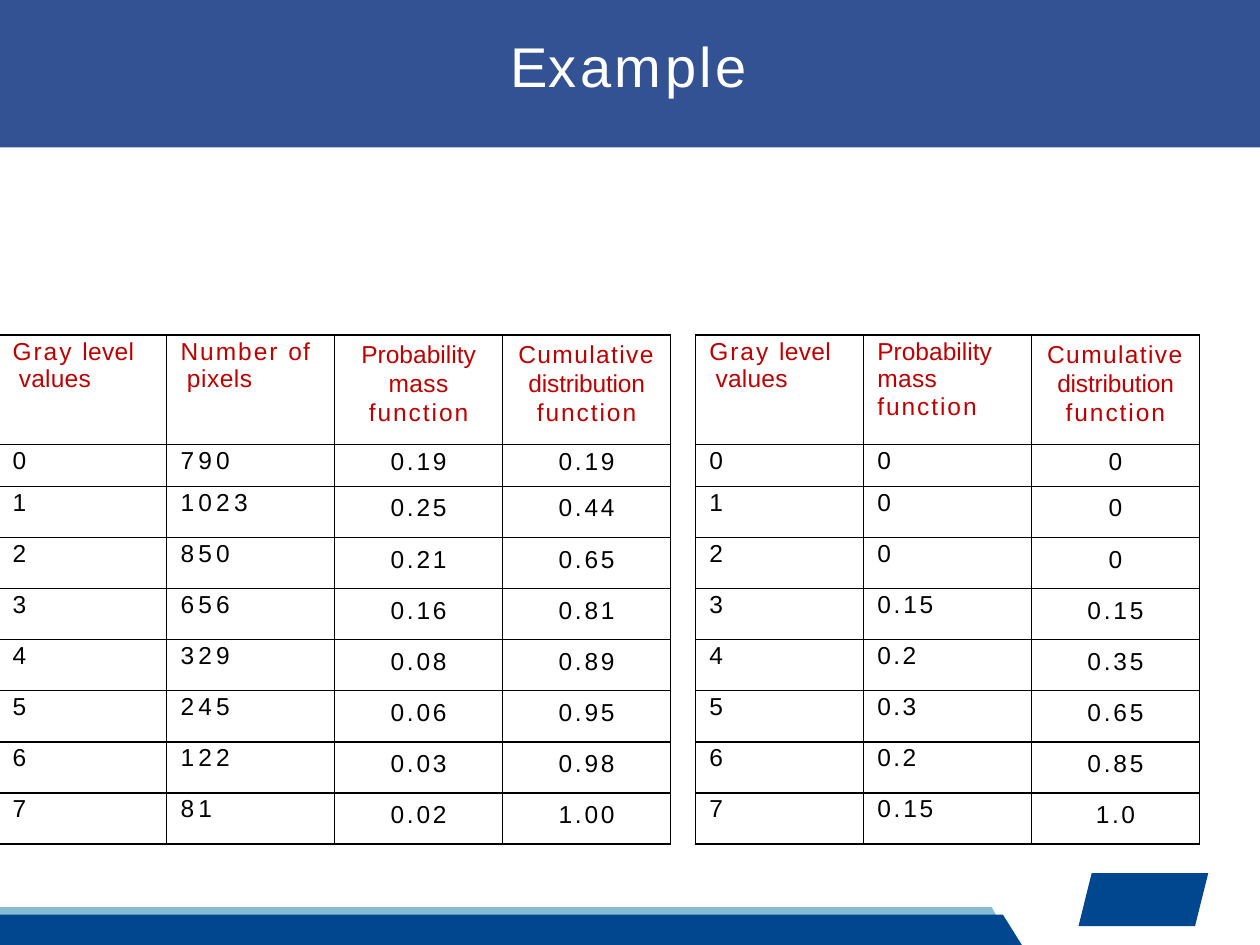
from dataclasses import dataclass

import lxml.etree
import pptx
import pptx.dml.color
import pptx.enum.shapes
import pptx.enum.text
import pptx.oxml.ns
import pptx.util

Inches = pptx.util.Inches
Pt = pptx.util.Pt
RGB = pptx.dml.color.RGBColor
ALIGN = pptx.enum.text.PP_ALIGN


@dataclass(frozen=True)
class Theme:
    """Colours, font and type sizes of the slide."""
    font: str = "Arial"
    title_size: int = 32
    table_size: int = 14
    banner: str = "335294"
    stripe: str = "86BCD5"
    navy: str = "004790"
    white: str = "FFFFFF"
    heading: str = "C00000"
    text: str = "000000"


@dataclass(frozen=True)
class Run:
    """A piece of text with its letter spacing in points."""
    text: str
    spacing: float = 0


@dataclass(frozen=True)
class Column:
    """A table column: heading runs, values and alignment."""
    heading: tuple[Run, ...]
    values: tuple[str, ...]
    centred: bool = False
    centred_heading: bool = False
    hang: float = 0


THEME = Theme()
COL_WIDTH = 4 / 3
ROW_HEIGHTS = [0.87, 0.33] + [2.84 / 7] * 7

GRAY = (Run("Gray ", 1.1), Run("level ", 0.2), Run("values", 0.1))
PIXELS = (Run("Number ", 1.1), Run("of ", 0.7), Run("pixels", 0.3))
PMF = (Run("Probability "), Run("mass ", 0.2), Run("function", 1.1))
CDF = (Run("Cumulative ", 0.8), Run("distribution ", -0.1), Run("function", 1.1))

LEVELS = Column(GRAY, tuple("01234567"), hang=0.05)
SOURCE = [
    LEVELS,
    Column(PIXELS, ("790", "1023", "850", "656", "329", "245", "122", "81"), hang=0.05),
    Column(PMF, ("0.19", "0.25", "0.21", "0.16", "0.08", "0.06", "0.03", "0.02"), True, True),
    Column(CDF, ("0.19", "0.44", "0.65", "0.81", "0.89", "0.95", "0.98", "1.00"), True, True),
]
TARGET = [
    LEVELS,
    Column(PMF, ("0", "0", "0", "0.15", "0.2", "0.3", "0.2", "0.15")),
    Column(CDF, ("0", "0", "0", "0.15", "0.35", "0.65", "0.85", "1.0"), True, True),
]


def add_runs(p, runs: tuple[Run, ...], size: int, color: str) -> None:
    """Append formatted runs to a paragraph."""
    for run in runs:
        r = p.add_run()
        r.text = run.text
        r.font.name = THEME.font
        r.font.size = Pt(size)
        r.font.color.rgb = RGB.from_string(color)
        r.font._element.set("spc", str(round(run.spacing * 100)))


def paint(sp, color: str) -> None:
    """Give a shape a flat fill without line or shadow."""
    sp.shadow.inherit = False
    sp.fill.solid()
    sp.fill.fore_color.rgb = RGB.from_string(color)
    sp.line.fill.background()


def add_footer_band(slide, top: float, bottom: float, upper: float, lower: float, color: str) -> None:
    """Draw a band from the left edge with a slanted right end."""
    builder = slide.shapes.build_freeform(0, Inches(top))
    corners = [(upper, top), (lower, bottom), (0, bottom)]
    builder.add_line_segments([(Inches(x), Inches(y)) for x, y in corners], close=True)
    paint(builder.convert_to_shape(), color)


def add_title(slide, text: tuple[Run, ...]) -> None:
    """Place the title in its placeholder."""
    sp = slide.shapes.title
    sp.left, sp.top, sp.width, sp.height = map(Inches, (4.03, 0.24, 2, 0.56))
    tf = sp.text_frame
    tf.margin_left = tf.margin_right = tf.margin_bottom = 0
    tf.margin_top = Inches(0.01)
    tf.vertical_anchor = pptx.enum.text.MSO_ANCHOR.TOP
    p = tf.paragraphs[0]
    p.alignment = ALIGN.LEFT
    p.space_before = Pt(1.1)
    p._p.get_or_add_pPr().set("marL", str(Inches(0.02)))
    add_runs(p, text, THEME.title_size, THEME.white)


def set_borders(cell) -> None:
    """Draw one-point lines on all four sides of a cell."""
    tc_pr = cell._tc.get_or_add_tcPr()
    qn = pptx.oxml.ns.qn
    for i, side in enumerate(("lnL", "lnR", "lnT", "lnB")):
        ln = lxml.etree.Element(qn(f"a:{side}"), w=str(Pt(1)))
        fill = lxml.etree.SubElement(ln, qn("a:solidFill"))
        lxml.etree.SubElement(fill, qn("a:srgbClr"), val=THEME.text)
        tc_pr.insert(i, ln)


def number_spacing(value: str) -> float:
    """Return the letter spacing for a table value."""
    if len(value) == 1:
        return 0
    if "." not in value:
        return 2.4
    return 1.6 if len(value) == 4 else 1.4


def fill_cell(cell, column: Column, row: int) -> None:
    """Write and format the heading or value of one cell."""
    is_heading = row == 0
    centred = column.centred_heading if is_heading else column.centred
    before = 1.6 if not centred else 2.2 if row < 2 else 4.8
    side = 0.08 if centred and is_heading else 0
    cell.margin_left = cell.margin_right = Inches(side)
    cell.margin_top, cell.margin_bottom = Pt(before), 0
    cell.fill.background()
    set_borders(cell)
    p = cell.text_frame.paragraphs[0]
    p.alignment = ALIGN.CENTER if centred else ALIGN.LEFT
    p.space_before = Pt(before)
    if centred and is_heading:
        p.line_spacing = 1.07
    if not centred:
        hang = column.hang if is_heading else 0
        p_pr = p._p.get_or_add_pPr()
        p_pr.set("marL", str(Inches(0.11 + hang)))
        p_pr.set("indent", str(-Inches(hang)))
    if is_heading:
        add_runs(p, column.heading, THEME.table_size, THEME.heading)
    else:
        value = column.values[row - 1]
        add_runs(p, (Run(value, number_spacing(value)),), THEME.table_size, THEME.text)


def add_histogram_table(slide, left: float, columns: list[Column]) -> None:
    """Add a table of gray levels at the given left edge."""
    frame = slide.shapes.add_table(
        len(ROW_HEIGHTS), len(columns), Inches(left), Inches(2.66),
        Inches(COL_WIDTH * len(columns)), Inches(sum(ROW_HEIGHTS)))
    table = frame.table
    table.first_row = table.horz_banding = False
    for row, height in zip(table.rows, ROW_HEIGHTS):
        row.height = Inches(height)
    for i, column in enumerate(columns):
        table.columns[i].width = Inches(COL_WIDTH)
        for row in range(len(ROW_HEIGHTS)):
            fill_cell(table.cell(row, i), column, row)


def main() -> None:
    """Build and save the slide."""
    prs = pptx.Presentation()
    prs.slide_width, prs.slide_height = Inches(10), Inches(7.5)
    slide = prs.slides.add_slide(prs.slide_layouts[5])
    shapes = slide.shapes
    kinds = pptx.enum.shapes.MSO_SHAPE

    banner = shapes.add_shape(kinds.RECTANGLE, 0, 0, Inches(10), Inches(1.17))
    paint(banner, THEME.banner)
    shapes._spTree.insert(2, banner._element)
    add_footer_band(slide, 7.2, 7.46, 7.87, 8.02, THEME.stripe)
    add_footer_band(slide, 7.26, 7.5, 7.96, 8.11, THEME.navy)
    emblem = shapes.add_shape(
        kinds.PARALLELOGRAM, Inches(8.56), Inches(6.93), Inches(1.03), Inches(0.42))
    paint(emblem, THEME.navy)

    add_title(slide, (Run("E", 0.6), Run("xample", 2)))
    add_histogram_table(slide, -0.01, SOURCE)
    add_histogram_table(slide, 5.52, TARGET)
    prs.save("out.pptx")


main()
